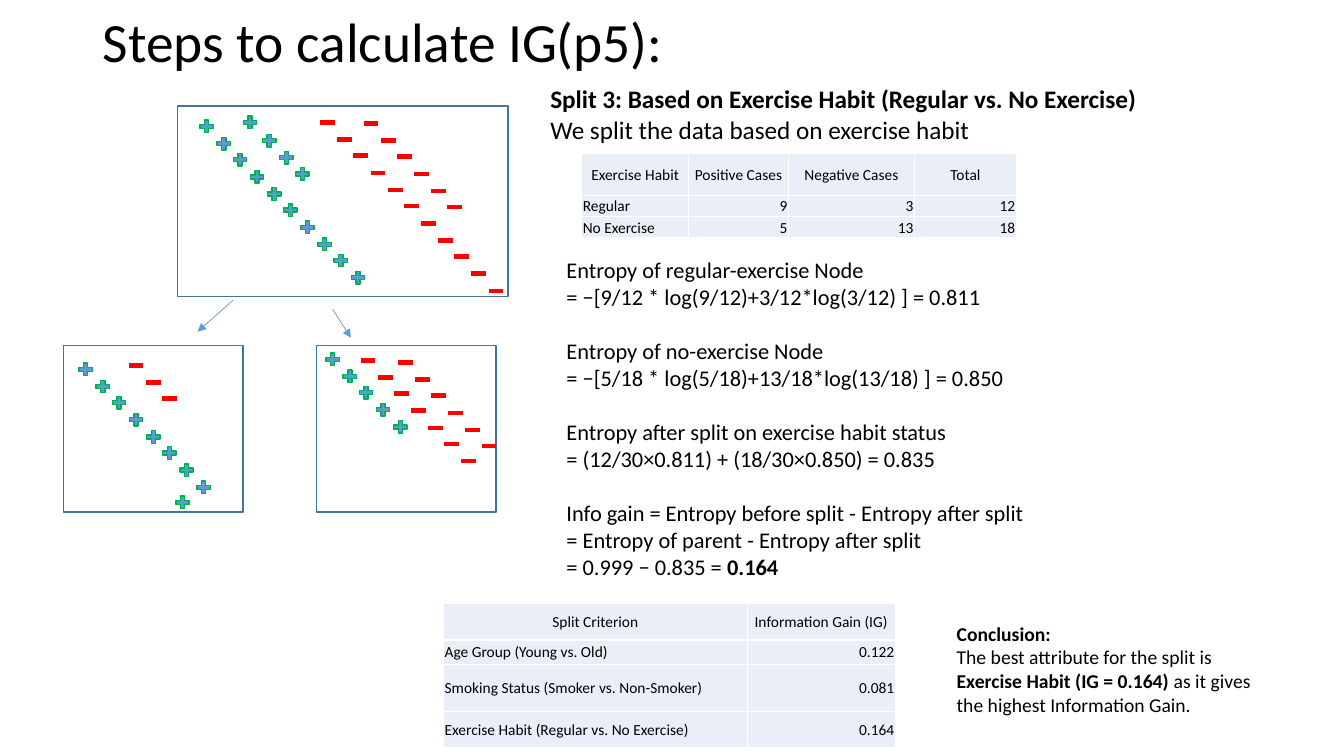
from dataclasses import dataclass
from typing import NamedTuple

from lxml import etree
from pptx import Presentation
from pptx.dml.color import RGBColor
from pptx.enum.shapes import MSO_CONNECTOR, MSO_SHAPE
from pptx.enum.text import MSO_ANCHOR, MSO_AUTO_SIZE, PP_ALIGN
from pptx.oxml.ns import qn
from pptx.util import Pt

PX = 9144  # one hundredth of an inch
FONT = "Calibri"
BLACK = RGBColor(0x00, 0x00, 0x00)
WHITE = RGBColor(0xFF, 0xFF, 0xFF)
BLUE = RGBColor(0x5B, 0x9B, 0xD5)
DARK_BLUE = RGBColor(0x43, 0x73, 0x9E)
GREEN = RGBColor(0x00, 0xB0, 0x50)
RED = RGBColor(0xFF, 0x00, 0x00)
PALE_BLUE = RGBColor(0xEA, 0xEF, 0xF7)

PLUS, MINUS, RECTANGLE = MSO_SHAPE.MATH_PLUS, MSO_SHAPE.MATH_MINUS, MSO_SHAPE.RECTANGLE
STRAIGHT = MSO_CONNECTOR.STRAIGHT
LEFT, CENTER, RIGHT = PP_ALIGN.LEFT, PP_ALIGN.CENTER, PP_ALIGN.RIGHT
TOP, MIDDLE = MSO_ANCHOR.TOP, MSO_ANCHOR.MIDDLE
GROW = MSO_AUTO_SIZE.SHAPE_TO_FIT_TEXT


class Box(NamedTuple):
    left: int
    top: int
    width: int
    height: int

    def emu(self) -> list[int]:
        return [length * PX for length in self]


class Span(NamedTuple):
    text: str
    bold: bool = False


class Line(NamedTuple):
    spans: list[Span]
    space_before: float = 0


class Chain(NamedTuple):
    """Equal case marks running diagonally down to the right."""
    mark: MSO_SHAPE
    left: int
    top: int
    count: int


class Arrow(NamedTuple):
    start: tuple[int, int]
    end: tuple[int, int]


@dataclass
class Node:
    box: Box
    chains: list[Chain]


@dataclass
class Grid:
    box: Box
    columns: list[int]
    row_heights: list[int]
    rows: list[list[str]]


NODES = [
    Node(Box(176, 105, 328, 189), [
        Chain(PLUS, 196, 117, 10), Chain(PLUS, 239, 113, 1), Chain(PLUS, 258, 131, 3),
        Chain(MINUS, 315, 112, 11), Chain(MINUS, 358, 113, 6)]),
    Node(Box(63, 343, 178, 165), [
        Chain(PLUS, 76, 358, 8), Chain(PLUS, 172, 490, 1), Chain(MINUS, 125, 353, 3)]),
    Node(Box(314, 343, 178, 165), [
        Chain(PLUS, 321, 348, 5), Chain(MINUS, 355, 348, 7), Chain(MINUS, 392, 350, 6)]),
]
ARROWS = [Arrow((231, 298), (196, 329)), Arrow((330, 307), (348, 335))]

CASES = Grid(Box(577, 152, 431, 83), [106, 99, 125, 101], [42, 21, 21], [
    ["Exercise Habit", "Positive Cases", "Negative Cases", "Total"],
    ["Regular", "9", "3", "12"],
    ["No Exercise", "5", "13", "18"],
])
GAINS = Grid(Box(440, 599, 449, 144), [301, 147], [36, 24, 47, 36], [
    ["Split Criterion", "Information Gain (IG)"],
    ["Age Group (Young vs. Old)", "0.122"],
    ["Smoking Status (Smoker vs. Non-Smoker)", "0.081"],
    ["Exercise Habit (Regular vs. No Exercise)", "0.164"],
])

TITLE = [Line([Span("Steps to calculate IG(p5):")])]
SPLIT = [
    Line([Span("Split 3: Based on Exercise Habit (Regular vs. No Exercise)", True)]),
    Line([Span("We split the data based on exercise habit")]),
]
STEP_GAP = 19.5
ENTROPY = [
    Line([Span("Entropy of regular-exercise Node")]),
    Line([Span("= −[9/12 * log(9/12)+3/12*log(3/12) ] = 0.811")]),
    Line([Span("Entropy of no-exercise Node")], STEP_GAP),
    Line([Span("= −[5/18 * log(5/18)+13/18*log(13/18) ] = 0.850")]),
    Line([Span("Entropy after split on exercise habit status")], STEP_GAP),
    Line([Span("= (12/30×0.811) + (18/30×0.850) = 0.835")]),
    Line([Span("Info gain = Entropy before split - Entropy after split")], STEP_GAP),
    Line([Span("= Entropy of parent - Entropy after split")]),
    Line([Span("= 0.999 − 0.835 = "), Span("0.164", True)]),
]
CONCLUSION = [
    Line([Span("Conclusion:", True)]),
    Line([Span("The best attribute for the split is "),
          Span("Exercise Habit (IG = 0.164)", True),
          Span(" as it gives the highest Information Gain.")]),
]


def write_text(frame, lines: list[Line], *, size: float, align=LEFT, spacing: float = 1.0) -> None:
    for index, line in enumerate(lines):
        paragraph = frame.add_paragraph() if index else frame.paragraphs[0]
        paragraph.alignment = align
        paragraph.line_spacing = spacing
        paragraph.space_before = Pt(line.space_before)
        for span in line.spans:
            run = paragraph.add_run()
            run.text = span.text
            run.font.name = FONT
            run.font.size = Pt(size)
            run.font.bold = span.bold
            run.font.color.rgb = BLACK


def add_text(slide, box: Box, lines: list[Line], *, size: float, anchor=TOP,
             spacing: float = 1.0, auto_size=GROW) -> None:
    frame = slide.shapes.add_textbox(*box.emu()).text_frame
    frame.word_wrap = True
    frame.auto_size = auto_size
    frame.vertical_anchor = anchor
    write_text(frame, lines, size=size, spacing=spacing)


def add_shape(slide, kind: MSO_SHAPE, box: Box, fill: RGBColor, outline: RGBColor | None) -> None:
    shape = slide.shapes.add_shape(kind, *box.emu())
    shape.shadow.inherit = False
    shape.fill.solid()
    shape.fill.fore_color.rgb = fill
    if outline is None:
        shape.line.fill.background()
    else:
        shape.line.color.rgb = outline
        shape.line.width = Pt(1)


def add_node(slide, node: Node) -> None:
    add_shape(slide, RECTANGLE, node.box, WHITE, DARK_BLUE)
    for chain in node.chains:
        for index in range(chain.count):
            shift = round(index * 50 / 3)
            left, top = chain.left + shift, chain.top + shift
            if chain.mark == PLUS:
                add_shape(slide, PLUS, Box(left, top, 18, 17), BLUE, GREEN)
            else:
                add_shape(slide, MINUS, Box(left, top, 20, 19), RED, None)


def add_arrow(slide, arrow: Arrow) -> None:
    ends = [length * PX for length in arrow.start + arrow.end]
    connector = slide.shapes.add_connector(STRAIGHT, *ends)
    connector.line.color.rgb = BLUE
    connector.line.width = Pt(0.5)
    etree.SubElement(connector.line._get_or_add_ln(), qn("a:tailEnd"), type="triangle")
    etree.SubElement(connector._element.spPr, qn("a:effectLst"))


def add_borders(cell) -> None:
    properties = cell._tc.get_or_add_tcPr()
    for side in ("a:lnL", "a:lnR", "a:lnT", "a:lnB"):
        border = etree.SubElement(properties, qn(side), w=str(Pt(1)))
        fill = etree.SubElement(border, qn("a:solidFill"))
        etree.SubElement(fill, qn("a:srgbClr"), val=str(WHITE))


def add_grid(slide, grid: Grid) -> None:
    table = slide.shapes.add_table(len(grid.rows), len(grid.columns), *grid.box.emu()).table
    table.first_row = table.horz_banding = False
    for column, width in zip(table.columns, grid.columns):
        column.width = width * PX
    for row, height in zip(table.rows, grid.row_heights):
        row.height = height * PX
    for r, texts in enumerate(grid.rows):
        for c, text in enumerate(texts):
            cell = table.cell(r, c)
            add_borders(cell)
            cell.fill.solid()
            cell.fill.fore_color.rgb = PALE_BLUE
            cell.vertical_anchor = MIDDLE
            cell.margin_left = cell.margin_right = cell.margin_top = PX
            cell.margin_bottom = 0
            align = CENTER if r == 0 else RIGHT if c else LEFT
            write_text(cell.text_frame, [Line([Span(text)])], size=11, align=align)


def main() -> None:
    presentation = Presentation()
    presentation.slide_width, presentation.slide_height = 1333 * PX, 750 * PX
    slide = presentation.slides.add_slide(presentation.slide_layouts[6])
    add_text(slide, Box(92, 15, 591, 59), TITLE, size=39.6, anchor=MIDDLE, spacing=0.9,
             auto_size=MSO_AUTO_SIZE.NONE)
    add_text(slide, Box(536, 78, 756, 71), SPLIT, size=18)
    for node in NODES:
        add_node(slide, node)
    for arrow in ARROWS:
        add_arrow(slide, arrow)
    add_text(slide, Box(552, 249, 538, 333), ENTROPY, size=16)
    for grid in (CASES, GAINS):
        add_grid(slide, grid)
    add_text(slide, Box(939, 612, 327, 104), CONCLUSION, size=14)
    presentation.save("out.pptx")


if __name__ == "__main__":
    main()
